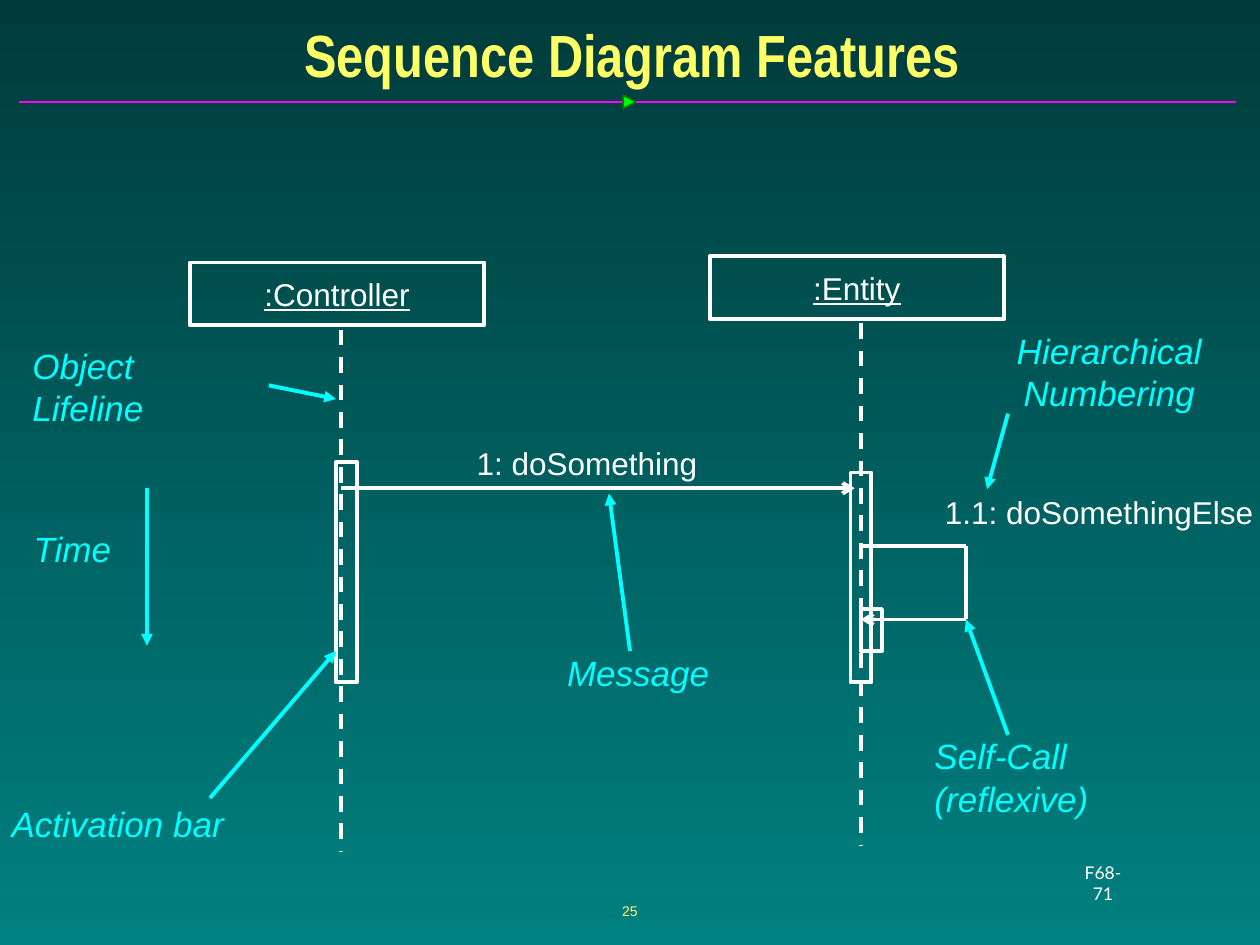
from collections import namedtuple
from itertools import pairwise

from lxml.etree import SubElement
from pptx import Presentation
from pptx.dml.color import RGBColor
from pptx.enum.dml import MSO_LINE_DASH_STYLE as Dash
from pptx.enum.shapes import MSO_CONNECTOR as Connector, MSO_SHAPE as Shape
from pptx.enum.text import MSO_ANCHOR as Anchor, PP_ALIGN as Align
from pptx.oxml.ns import qn
from pptx.util import Inches, Pt

WHITE = RGBColor(0xFF, 0xFF, 0xFF)
CYAN = RGBColor(0x00, 0xFF, 0xFF)
YELLOW = RGBColor(0xFF, 0xFF, 0x66)
MAGENTA = RGBColor(0xFF, 0x01, 0xFF)
GREEN = RGBColor(0x00, 0xFF, 0x00)
DARK_GREEN = RGBColor(0x03, 0x7C, 0x03)
GRADIENT = (RGBColor(0x00, 0x3B, 0x3B), RGBColor(0x00, 0x80, 0x80))

COLUMNS, ROWS = 120, 90
CELL = Inches(10) // COLUMNS

Box = namedtuple("Box", "left top width height")


def cells(*values):
    return [round(value * CELL) for value in values]


def inside(box, x, y):
    return box.left + x, box.top + y


def format_text(frame, text, size, color, align=Align.LEFT, font="Arial",
                wrap=False, anchor=Anchor.TOP, italic=False, underline=False,
                bold=False, margin=0):
    frame.text = text
    frame.word_wrap = wrap
    frame.vertical_anchor = anchor
    frame.margin_left = frame.margin_right = Inches(margin)
    frame.margin_top = frame.margin_bottom = Inches(margin / 2)
    for paragraph in frame.paragraphs:
        paragraph.alignment = align
        paragraph.font.name = font
        paragraph.font.size = Pt(size)
        paragraph.font.color.rgb = color
        paragraph.font.bold = bold
        paragraph.font.italic = italic
        paragraph.font.underline = underline


def add_text(slide, box, text, size, color, **style):
    shape = slide.shapes.add_textbox(*cells(*box))
    format_text(shape.text_frame, text, size, color, **style)


def add_line(slide, start, end, color=WHITE, width=2.25, head=None, dash=None):
    line = slide.shapes.add_connector(Connector.STRAIGHT, *cells(*start, *end))
    line.line.color.rgb = color
    line.line.width = Pt(width)
    if dash:
        line.line.dash_style = dash
    if head:
        SubElement(line.line._get_or_add_ln(), qn("a:tailEnd"), type=head)
    SubElement(line._element.spPr, qn("a:effectLst"))


def add_outline(slide, box):
    shape = slide.shapes.add_shape(Shape.RECTANGLE, *cells(*box))
    shape.shadow.inherit = False
    shape.fill.background()
    shape.line.color.rgb = WHITE
    shape.line.width = Pt(2.25)
    return shape


def fill_background(slide):
    fill = slide.background.fill
    fill.gradient()
    fill.gradient_angle = 270
    for stop, color in zip(fill.gradient_stops, GRADIENT):
        stop.color.rgb = color


def add_heading(slide, box, text):
    title = slide.shapes.title
    title.left, title.top, title.width, title.height = cells(*box)
    format_text(title.text_frame, text, 34, YELLOW, Align.CENTER, "Arial Narrow",
                wrap=True, anchor=Anchor.MIDDLE, bold=True, margin=0.1)
    rule = box.height + 1.1
    add_line(slide, inside(box, 0.6, rule), inside(box, 116.5, rule), MAGENTA, 1)
    marker = slide.shapes.add_shape(
        Shape.ISOSCELES_TRIANGLE, *cells(*inside(box, 58.1, rule - 0.6), 1.3, 1.2))
    marker.rotation = 90
    marker.shadow.inherit = False
    marker.fill.solid()
    marker.fill.fore_color.rgb = GREEN
    marker.line.color.rgb = DARK_GREEN
    marker.line.width = Pt(1)


def add_participant(slide, box, name):
    header = add_outline(slide, box._replace(height=6))
    format_text(header.text_frame, name, 18, WHITE, Align.CENTER,
                anchor=Anchor.MIDDLE, underline=True)
    add_line(slide, inside(box, 14.4, 6.4), inside(box, 14.4, box.height),
             dash=Dash.DASH)


def add_self_call(slide, box):
    corners = [inside(box, x, y) for x, y in
               ((0, 0), (box.width, 0), (box.width, box.height), (0, box.height))]
    for (start, end), head in zip(pairwise(corners), (None, None, "arrow")):
        add_line(slide, start, end, head=head)


def add_annotation(slide, box, text, start, end, align=Align.LEFT, wrap=False):
    add_text(slide, box, text, 20, CYAN, align=align, wrap=wrap, italic=True)
    add_line(slide, inside(box, *start), inside(box, *end), CYAN, head="triangle")


def add_sequence(slide):
    add_participant(slide, Box(18.1, 25, 28, 56.1), ":Controller")
    add_participant(slide, Box(67.6, 24.4, 28, 56.1), ":Entity")
    for bar in (Box(32, 44, 2, 21), Box(81, 45, 2, 20), Box(82, 58, 2, 4)):
        add_outline(slide, bar)
    add_line(slide, (32.5, 46.5), (81.4, 46.5), head="arrow")
    add_self_call(slide, Box(82, 52, 10, 7))
    add_text(slide, Box(45.4, 42.3, 38.6, 3.6), "1: doSomething", 18, WHITE)
    add_text(slide, Box(90, 47, 30, 3.6), "1.1: doSomethingElse", 18, WHITE)


def add_annotations(slide):
    add_annotation(slide, Box(3.1, 32.8, 21.1, 4), "Object Lifeline",
                   (22.5, 3.9), (28.9, 5.2))
    add_annotation(slide, Box(3.2, 50.2, 7.4, 4), "Time",
                   (10.8, -3.7), (10.8, 11.3))
    add_annotation(slide, Box(1.1, 76.4, 20.3, 4), "Activation bar",
                   (18.9, -0.4), (30.9, -14.4))
    add_annotation(slide, Box(54, 62, 13.6, 4), "Message", (6, 0), (4, -15))
    add_annotation(slide, Box(89, 70, 16, 8), "Self-Call (reflexive)",
                   (7, 0), (3, -11), wrap=True)
    add_annotation(slide, Box(95.2, 31.4, 20.9, 8), "Hierarchical\nNumbering",
                   (0.8, 8), (-1.2, 15.2), Align.CENTER, wrap=True)


def add_footer(slide):
    style = dict(align=Align.CENTER, anchor=Anchor.MIDDLE, margin=0.1)
    add_text(slide, Box(41, 83.8, 38, 6), "25", 8, YELLOW, **style)
    add_text(slide, Box(101.3, 82.4, 7.5, 3.3), "F68-71", 10, WHITE,
             font="Lato", wrap=True, **style)


def main():
    presentation = Presentation()
    presentation.slide_width = COLUMNS * CELL
    presentation.slide_height = ROWS * CELL
    slide = presentation.slides.add_slide(presentation.slide_layouts[5])
    fill_background(slide)
    add_heading(slide, Box(1.2, 1.6, 118, 7), "Sequence Diagram Features")
    add_sequence(slide)
    add_annotations(slide)
    add_footer(slide)
    presentation.save("out.pptx")


if __name__ == "__main__":
    main()
